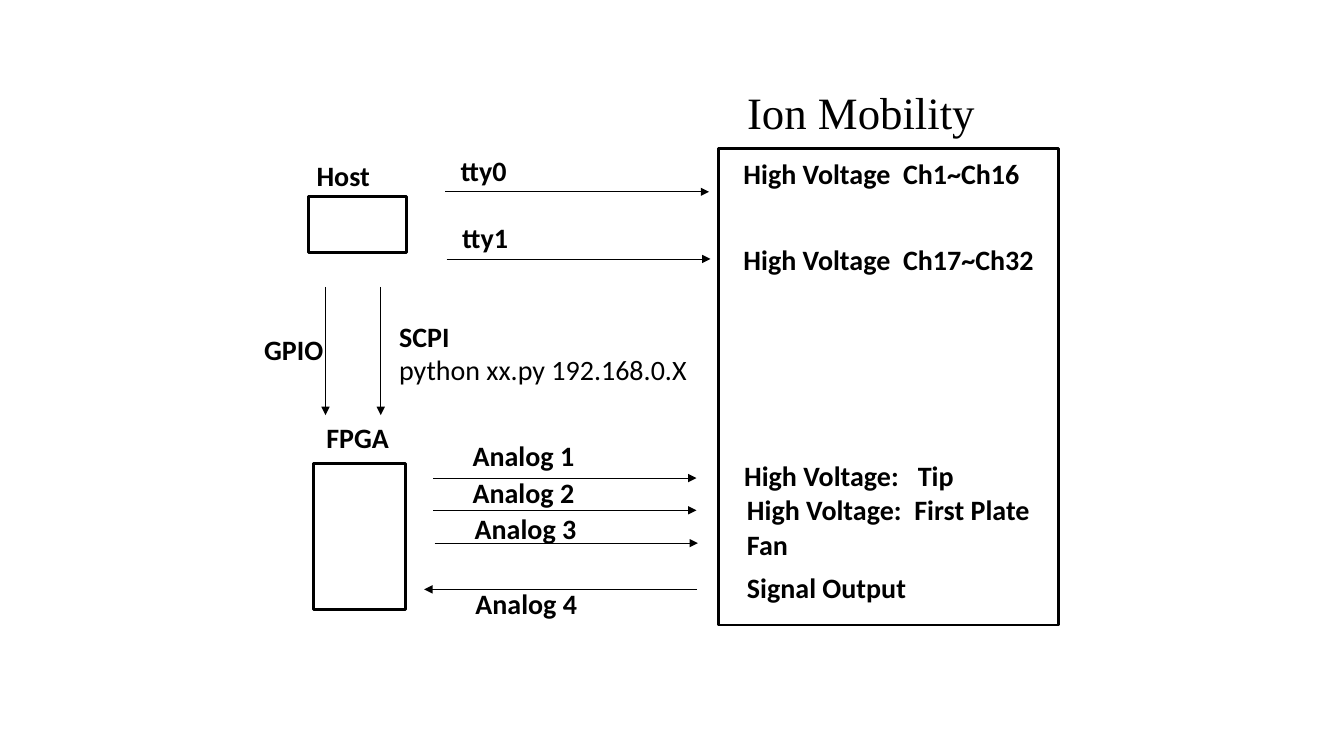
import pptx
import pptx.dml.color
import pptx.enum.shapes
import pptx.oxml.ns
import pptx.util
from lxml import etree

Pt = pptx.util.Pt
HUES = {"ink": "000000", "paper": "FFFFFF"}
SPACE = 4.5


def tint(name):
    """Return a named colour."""
    return pptx.dml.color.RGBColor.from_string(HUES[name])


def write(para, text, size=20, bold=True, face="Calibri"):
    """Add one run to a paragraph and return it."""
    run = para.add_run()
    run.text = text
    run.font.size = Pt(size)
    run.font.bold = bold
    run.font.name = face
    run.font.color.rgb = tint("ink")
    return run


def field(slide, left, top, width, height=32):
    """Add a text box and return its first paragraph."""
    box = slide.shapes.add_textbox(Pt(left), Pt(top), Pt(width), Pt(height))
    box.text_frame.word_wrap = True
    return box.text_frame.paragraphs[0]


def label(slide, left, top, width, text):
    """Place one bold line of text."""
    write(field(slide, left, top, width), text)


def frame(slide, left, top, width, height):
    """Draw an outlined rectangle."""
    kind = pptx.enum.shapes.MSO_SHAPE.RECTANGLE
    rect = slide.shapes.add_shape(kind, Pt(left), Pt(top), Pt(width), Pt(height))
    rect.shadow.inherit = False
    rect.fill.solid()
    rect.fill.fore_color.rgb = tint("paper")
    rect.line.color.rgb = tint("ink")
    rect.line.width = Pt(2)


def arrow(slide, x1, y1, x2, y2):
    """Draw a thin arrow to its second point."""
    kind = pptx.enum.shapes.MSO_CONNECTOR.STRAIGHT
    line = slide.shapes.add_connector(kind, Pt(x1), Pt(y1), Pt(x2), Pt(y2))
    line.line.color.rgb = tint("ink")
    line.line.width = Pt(0.5)
    qn = pptx.oxml.ns.qn
    etree.SubElement(line.line._get_or_add_ln(), qn("a:tailEnd"), type="triangle")
    etree.SubElement(line._element.spPr, qn("a:effectLst"))


def device(slide, left, top, width, height, name, shift, rise):
    """Draw a device with its name above."""
    frame(slide, left, top, width, height)
    label(slide, left + shift, top - rise, 70, name)


def serial(slide, left, top, width):
    """Draw the two serial links."""
    for row in range(2):
        x, y = left + row, top + 48 * row
        label(slide, x + 4, y, 70, f"tty{row}")
        arrow(slide, x, y + 31, x + width, y + 31)


def control(slide, left, top, height):
    """Draw the two links between the devices."""
    for step in (0, 39.5):
        arrow(slide, left + step, top, left + step, top + height)
    label(slide, left - 51, top + 29, 70, "GPIO")
    para = field(slide, left + 45.5, top + 19.5, 229, 55.5)
    write(para, "SCPI")
    para.add_line_break()
    write(para, "python xx.py 192.168.0.X", bold=False)


def analog(slide, left, top, width):
    """Draw the three outgoing links and the returning one."""
    rows = [(21, 0, 0, 32), (21, 26.5, 0, 55), (22.5, 52, 1, 78.5)]
    for num, (shift, drop, start, rule) in enumerate(rows, 1):
        label(slide, left + shift, top + drop, 101.5, f"Analog {num}")
        x = left + start
        arrow(slide, x, top + rule, x + width, top + rule)
    label(slide, left + 23, top + 106, 101.5, "Analog 4")
    arrow(slide, left + width + 0.5, top + 111.5, left - 6.5, top + 111.5)


def unit(slide, left, top, width, height):
    """Draw the instrument with its title and ports."""
    frame(slide, left, top, width, height)
    title = field(slide, left + 13, top - 49, 183.5, 46)
    write(title, "Ion Mobility", 32, False, "Times New Roman")
    ports = [
        (10.5, 2.5, "High Voltage", 2, "Ch1~Ch16"),
        (10.5, 64, "High Voltage", 2, "Ch17~Ch32"),
        (11, 218, "High Voltage:", 3, "Tip"),
        (13, 242.5, "High Voltage:", 2, "First Plate"),
        (13, 267.5, "Fan", 0, ""),
        (13, 298, "Signal Output", 0, ""),
    ]
    for shift, drop, head, gap, tail in ports:
        para = field(slide, left + shift, top + drop, 260)
        write(para, head)
        if tail:
            space = write(para, " ")
            space.font._element.set("spc", str(int((gap - 1) * SPACE * 100)))
            write(para, tail)


def main():
    """Build the wiring slide."""
    deck = pptx.Presentation()
    deck.slide_width, deck.slide_height = Pt(960), Pt(540)
    slide = deck.slides.add_slide(deck.slide_layouts[6])
    unit(slide, 513.5, 106, 242.5, 340.5)
    device(slide, 220.5, 140.5, 70, 40, "Host", -1.5, 30.5)
    device(slide, 224, 331, 66, 104.5, "FPGA", 2, 34.5)
    serial(slide, 318, 106, 188.5)
    control(slide, 232.5, 205, 91.5)
    analog(slide, 309.5, 309.5, 188)
    deck.save("out.pptx")


if __name__ == "__main__":
    main()
